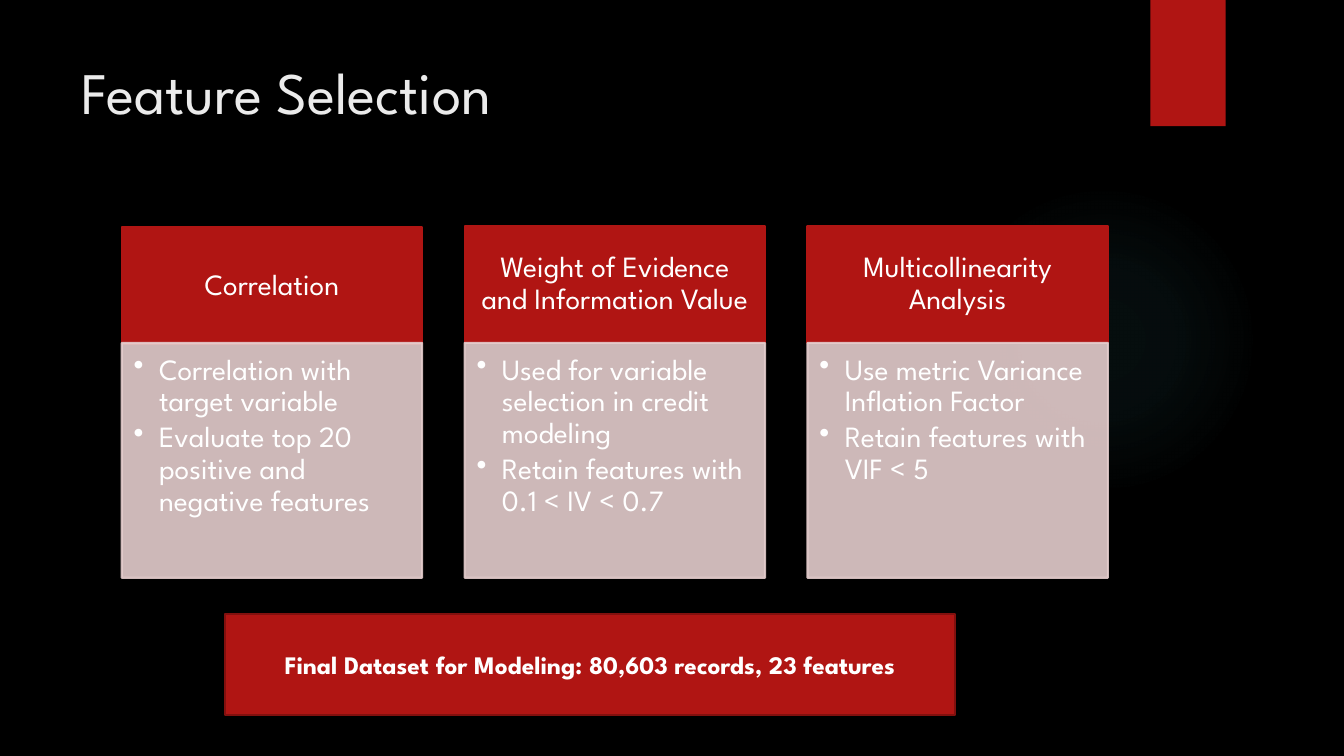
from pptx import Presentation
from pptx import util as u
from pptx.dml.color import RGBColor
from pptx.enum import shapes, text
from pptx.oxml import parse_xml
from pptx.oxml.ns import nsdecls, qn
from pptx.oxml.xmlchemy import OxmlElement

COLUMNS = [
    ("Correlation", 5.72,
     ["Correlation with target variable",
      "Evaluate top 20 positive and negative features"]),
    ("Weight of Evidence and Information Value", 5.69,
     ["Used for variable selection in credit modeling",
      "Retain features with 0.1 < IV < 0.7"]),
    ("Multicollinearity Analysis", 5.69,
     ["Use metric Variance Inflation Factor",
      "Retain features with VIF < 5"]),
]
COLUMN_LEFT, COLUMN_STEP, COLUMN_WIDTH = 3.07, 8.64, 7.57
BODY_TOP, BODY_HEIGHT, HEADER_HEIGHT = 8.64, 5.92, 2.95


def color(value):
    return RGBColor.from_string(value)


def set_alpha(fill, percent):
    """Make a solid fill partly transparent."""
    alpha = OxmlElement("a:alpha")
    alpha.set("val", str(percent * 1000))
    fill._xPr.find(qn("a:solidFill"))[0].append(alpha)


def add_bullet(paragraph, indent):
    properties = paragraph._p.get_or_add_pPr()
    properties.set("marL", str(u.Cm(indent)))
    properties.set("indent", str(-u.Cm(indent)))
    bullet = OxmlElement("a:buChar")
    bullet.set("char", "•")
    properties.append(bullet)


class SlideBuilder:
    font = "League Spartan"
    red, dark_red, pink, white = "B01513", "82100E", "E4CCCC", "FFFFFF"

    def __init__(self, slide):
        self.slide = slide
        slide.background.fill.solid()
        slide.background.fill.fore_color.rgb = color("000000")

    def set_text(self, shape, lines, size=21, ink=white, bold=False, bullets=False,
                 align=text.PP_ALIGN.CENTER, anchor=text.MSO_ANCHOR.MIDDLE,
                 insets=(0.25, 0.13, 0.25, 0.13), spacing=0.9, after=0):
        frame = shape.text_frame
        frame.word_wrap = True
        frame.auto_size = text.MSO_AUTO_SIZE.NONE
        frame.vertical_anchor = anchor
        (frame.margin_left, frame.margin_top,
         frame.margin_right, frame.margin_bottom) = map(u.Cm, insets)
        for index, line in enumerate(lines):
            paragraph = frame.add_paragraph() if index else frame.paragraphs[0]
            paragraph.alignment = align
            paragraph.line_spacing = spacing
            paragraph.space_before = u.Pt(0)
            paragraph.space_after = u.Pt(after)
            if bullets:
                add_bullet(paragraph, 0.64)
            run = paragraph.add_run()
            run.text = line
            run.font.name, run.font.size, run.font.bold = self.font, u.Pt(size), bold
            run.font.color.rgb = color(ink)

    def title(self, line, left, top, width, height):
        shape = self.slide.shapes.title
        shape.left, shape.top, shape.width, shape.height = map(
            u.Cm, (left, top, width, height))
        self.set_text(shape, [line], size=42, ink="EBEBEB", spacing=1.0,
                      align=text.PP_ALIGN.LEFT, anchor=text.MSO_ANCHOR.TOP)

    def box(self, left, top, width, height, fill=red, line=None, alpha=100,
            kind=shapes.MSO_SHAPE.RECTANGLE):
        shape = self.slide.shapes.add_shape(
            kind, *map(u.Cm, (left, top, width, height)))
        shape.shadow.inherit = False
        shape.fill.solid()
        shape.fill.fore_color.rgb = color(fill)
        if line:
            shape.line.color.rgb = color(line)
            shape.line.width = u.Pt(1.5)
        else:
            shape.line.fill.background()
        if alpha < 100:
            set_alpha(shape.fill, alpha)
            set_alpha(shape.line.fill, alpha)
        return shape

    def glow(self, left, top, size, tint, stops):
        """Add a circle whose tint fades out from its centre."""
        shape = self.box(left, top, size, size, kind=shapes.MSO_SHAPE.OVAL)
        stop_xml = "".join(
            f'<a:gs pos="{place * 1000}"><a:srgbClr val="{tint}">'
            f'<a:alpha val="{alpha * 1000}"/></a:srgbClr></a:gs>'
            for place, alpha in stops)
        gradient = parse_xml(
            f'<a:gradFill {nsdecls("a")}><a:gsLst>{stop_xml}</a:gsLst>'
            '<a:path path="circle"><a:fillToRect l="50000" t="50000" '
            'r="50000" b="50000"/></a:path></a:gradFill>')
        properties = shape._element.spPr
        properties.replace(properties.find(qn("a:solidFill")), gradient)

    def column(self, left, header_top, heading, points):
        header = self.box(left, header_top, COLUMN_WIDTH, HEADER_HEIGHT, line=self.red)
        self.set_text(header, [heading], insets=(0.41, 0.23, 0.41, 0.23))
        body = self.box(left, BODY_TOP, COLUMN_WIDTH, BODY_HEIGHT,
                        fill=self.pink, line=self.pink, alpha=90)
        self.set_text(body, points, bullets=True, align=text.PP_ALIGN.LEFT,
                      anchor=text.MSO_ANCHOR.TOP, insets=(0.3, 0.3, 0.41, 0.46), after=3)


def main():
    presentation = Presentation()
    presentation.slide_width, presentation.slide_height = u.Cm(33.87), u.Cm(19.05)
    builder = SlideBuilder(presentation.slides.add_slide(presentation.slide_layouts[5]))
    builder.glow(23.9, 4.65, 7.82, "50B9C1", [(0, 7), (36, 6), (69, 0)])
    builder.box(28.99, 0, 1.9, 3.18)
    builder.title("Feature Selection", 1.8, 1.27, 26.14, 3.89)
    for index, (heading, header_top, points) in enumerate(COLUMNS):
        builder.column(COLUMN_LEFT + index * COLUMN_STEP, header_top, heading, points)
    result = builder.box(5.67, 15.48, 18.4, 2.54, line=builder.dark_red)
    builder.set_text(result, ["Final Dataset for Modeling: 80,603 records, 23 features"],
                     size=18, bold=True, spacing=1.0)
    presentation.save("out.pptx")


if __name__ == "__main__":
    main()
